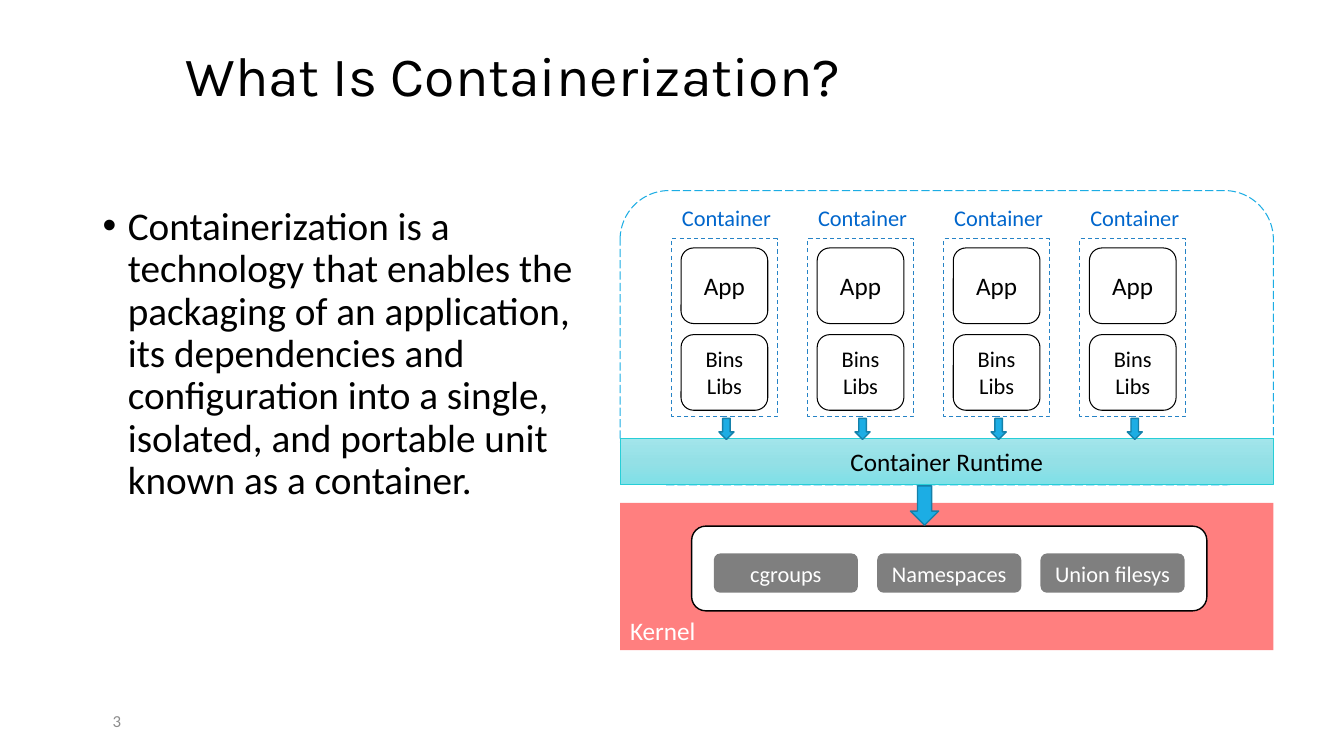
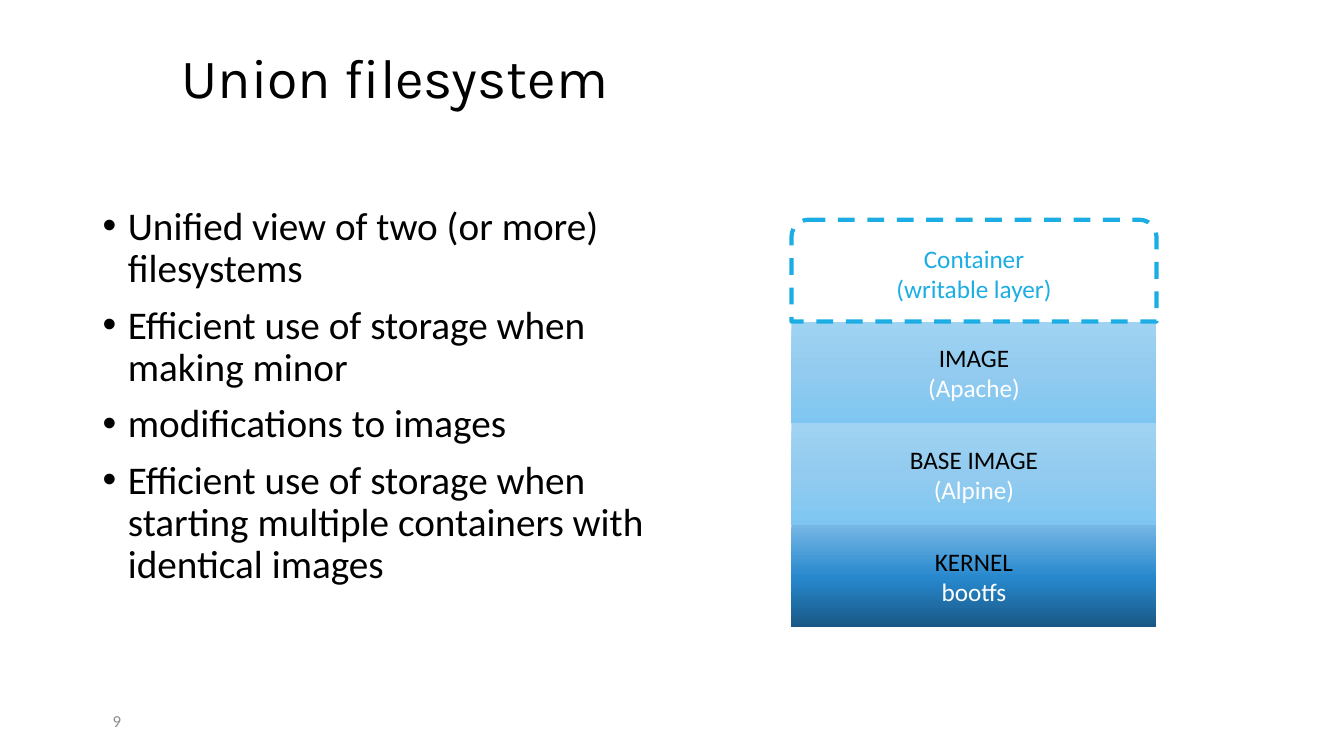
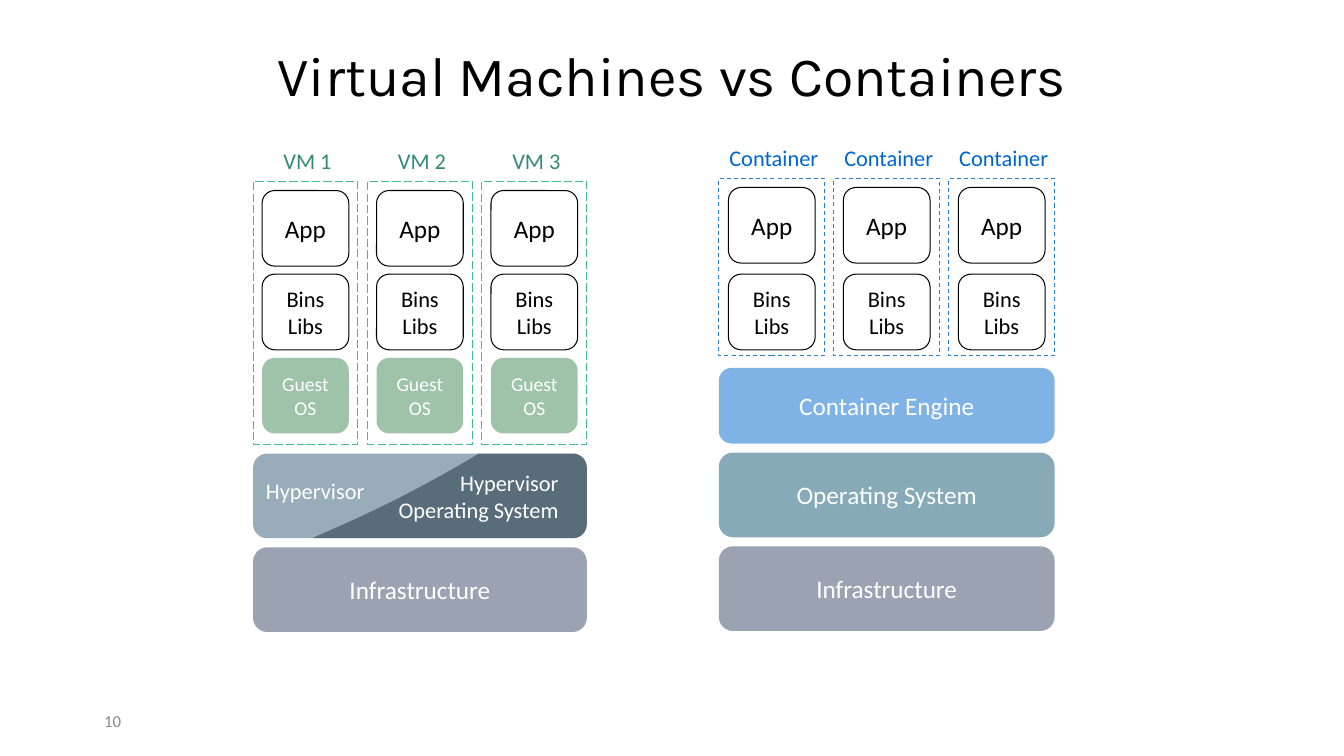
from lxml.etree import SubElement
from pptx import Presentation
from pptx.dml.color import RGBColor
from pptx.enum.dml import MSO_LINE
from pptx.enum.shapes import MSO_SHAPE
from pptx.enum.text import MSO_ANCHOR, MSO_AUTO_SIZE, PP_ALIGN
from pptx.oxml.ns import qn
from pptx.util import Inches, Pt

BLACK = RGBColor(0x00, 0x00, 0x00)
WHITE = RGBColor(0xFF, 0xFF, 0xFF)
GREY = RGBColor(0x8C, 0x8C, 0x8C)
RED = RGBColor(0xFF, 0x00, 0x00)
CYAN = RGBColor(0x1C, 0xAD, 0xE4)
CYAN_EDGE = RGBColor(0x15, 0x80, 0xA9)
TURQUOISE = RGBColor(0x27, 0xCE, 0xD7)
BLUE = RGBColor(0x00, 0x66, 0xCC)
FRAME_BLUE = RGBColor(0x26, 0x83, 0xC6)
FRAME_GREEN = RGBColor(0x42, 0xBA, 0x97)
VM_GREEN = RGBColor(0x32, 0x8B, 0x71)
GUEST_GREEN = RGBColor(0x3E, 0x88, 0x53)
SLATE = RGBColor(0x39, 0x48, 0x67)
STEEL = RGBColor(0x33, 0x5B, 0x74)
NAVY = RGBColor(0x1A, 0x2D, 0x3A)
PETROL = RGBColor(0x0E, 0x57, 0x72)

RUNTIME_FADE = ((0, "A2E5EB"), (50, "94E0E6"), (100, "7FE0E7"))
IMAGE_FADE = ((0, "A0D3F2"), (50, "92CBEF"), (100, "7EC6F1"))
KERNEL_FADE = ((0, "75B6E5"), (52, "2788CD"), (100, "195885"))

LEFT, CENTER, RIGHT = PP_ALIGN.LEFT, PP_ALIGN.CENTER, PP_ALIGN.RIGHT
TOP, MIDDLE, BOTTOM = MSO_ANCHOR.TOP, MSO_ANCHOR.MIDDLE, MSO_ANCHOR.BOTTOM
RECT, ROUND = MSO_SHAPE.RECTANGLE, MSO_SHAPE.ROUNDED_RECTANGLE
ARROW, ROUND_TOP = MSO_SHAPE.DOWN_ARROW, MSO_SHAPE.ROUND_2_SAME_RECTANGLE
DASH, LONG_DASH = MSO_LINE.DASH, MSO_LINE.LONG_DASH

CELL_W, CELL_H = 0.86, 0.75
THIN_BLACK = (BLACK, 0.75, None)
ARROW_STYLE = {"fill": CYAN, "line": (CYAN_EDGE, 1, None)}
APP = ("App", {"size": 18, "color": BLACK, "line": THIN_BLACK})
BINS = ("Bins\nLibs", {"size": 16, "color": BLACK, "line": THIN_BLACK})
GUEST = ("Guest OS", {"size": 14, "fill": GUEST_GREEN, "alpha": 50})
CONTAINER = {"w": 1.05, "h": 1.76, "line": (FRAME_BLUE, 0.75, DASH),
             "color": BLUE, "cells": (APP, BINS), "pitch": 0.86}
VM = {"w": 1.04, "h": 2.61, "line": (FRAME_GREEN, 0.75, LONG_DASH),
      "color": VM_GREEN, "cells": (APP, BINS, GUEST), "pitch": 0.83}


def put(obj, **values):
    """Set each given attribute on an object."""
    for name, value in values.items():
        setattr(obj, name, value)


def area(x, y, w, h):
    """Turn columns and rows of a one-inch grid into lengths."""
    return [Inches(v) for v in (x, y, w, h)]


def write(shape, lines, size=18, color=WHITE, align=CENTER, anchor=MIDDLE,
          font="Calibri", spacing=1.0, bullets=False, inset=0.1):
    """Write one paragraph per line; a line may be a (text, colour) pair."""
    tf = shape.text_frame
    put(tf, word_wrap=True, auto_size=MSO_AUTO_SIZE.NONE,
        vertical_anchor=anchor, margin_right=Inches(inset))
    for i, line in enumerate(lines):
        text, ink = line if isinstance(line, tuple) else (line, color)
        p = tf.add_paragraph() if i else tf.paragraphs[0]
        p.text = text.replace("\n", "\v")
        if bullets:
            pPr = p._p.get_or_add_pPr()
            pPr.set("marL", str(Inches(0.25)))
            pPr.set("indent", str(-Inches(0.25)))
            SubElement(pPr, qn("a:buFont")).set("typeface", "Arial")
            SubElement(pPr, qn("a:buChar")).set("char", "•")
        put(p, alignment=align, line_spacing=spacing,
            space_before=Pt(10 if bullets and i else 0))
        for r in p.runs:
            put(r.font, size=Pt(size), name=font)
            r.font.color.rgb = ink


def paint(shape, fill=None, alpha=100, line=None):
    """Give a shape a plain, see-through or graded fill and an outline."""
    shape.shadow.inherit = False
    if fill is None:
        shape.fill.background()
    elif isinstance(fill, RGBColor):
        shape.fill.solid()
        shape.fill.fore_color.rgb = fill
        if alpha < 100:
            clr = shape._element.spPr.find(qn("a:solidFill"))[0]
            SubElement(clr, qn("a:alpha")).set("val", str(alpha * 1000))
    else:
        shape.fill.gradient()
        shape.fill.gradient_angle = 270
        stops = shape._element.spPr.find(".//" + qn("a:gsLst"))
        for old in list(stops):
            stops.remove(old)
        for pos, rgb in fill:
            gs = SubElement(stops, qn("a:gs"), pos=str(pos * 1000))
            SubElement(gs, qn("a:srgbClr"), val=rgb)
    if line is None:
        shape.line.fill.background()
    else:
        color, width, dash = line
        shape.line.color.rgb = color
        put(shape.line, width=Pt(width), dash_style=dash)


def block(s, kind, at, lines=(), fill=None, alpha=100, line=None, **text):
    """Add a preset shape with optional text."""
    sp = s.shapes.add_shape(kind, *area(*at))
    paint(sp, fill, alpha, line)
    if lines:
        write(sp, lines, **text)


def label(s, at, lines, **text):
    """Add a text box."""
    write(s.shapes.add_textbox(*area(*at)), lines, **text)


def bezier(start, c1, c2, end, steps=16):
    """Return points along a cubic curve, without its start."""
    points = []
    for i in range(1, steps + 1):
        t = i / steps
        weights = ((1 - t) ** 3, 3 * t * (1 - t) ** 2, 3 * t * t * (1 - t), t ** 3)
        points.append(tuple(sum(k * pt[axis] for k, pt in zip(weights, (start, c1, c2, end)))
                            for axis in (0, 1)))
    return points


def new_slide(prs, title, number, at, align=LEFT):
    """Add a slide with its title and page number."""
    s = prs.slides.add_slide(prs.slide_layouts[5])
    sp = s.shapes.title
    put(sp, **dict(zip(("left", "top", "width", "height"), area(*at))))
    write(sp, [title], size=39.6, color=BLACK, align=align, font="Karla", spacing=0.9)
    label(s, (0.83, 6.95, 0.47, 0.4), [number], size=12, color=GREY, align=RIGHT)
    return s


def bullet_list(s, width, lines):
    """Add the bulleted text on the left of a slide."""
    label(s, (0.92, 2, width, 4.76), lines, size=28, color=BLACK, align=LEFT,
          anchor=TOP, spacing=0.9, bullets=True)


def stack(s, x, y, name, w, h, line, color, cells, pitch):
    """Add a dashed frame with a label above and cells inside."""
    for row, (text, style) in enumerate(cells):
        at = (x + (w - CELL_W) / 2, y + 0.09 + row * pitch, CELL_W, CELL_H)
        block(s, ROUND, at, [text], **style)
    block(s, RECT, (x, y, w, h), line=line)
    label(s, (x + w / 2 - 0.6, y - 0.39, 1.24, 0.38), [name], size=16, color=color, anchor=TOP)


def stacks(s, x, y, span, names, style):
    """Spread stacks evenly over a span and return their left edges."""
    step = (span - style["w"]) / (len(names) - 1)
    lefts = [x + i * step for i in range(len(names))]
    for left, name in zip(lefts, names):
        stack(s, left, y, name, **style)
    return lefts


def hypervisor(s, x, y, w, h):
    """Add the hypervisor bar with its curved darker part."""
    block(s, ROUND, (x, y, w, h), fill=STEEL, alpha=50)
    label(s, (x + 0.03, 4.68, 1.46, 0.42), ["Hypervisor"], size=16, align=LEFT, anchor=TOP)
    right, bottom, rad = x + w, y + h, 0.14
    foot, peak = (3.1, bottom), (4.75, y)
    outline = [(right - rad, y)]
    outline += bezier(outline[-1], (right - 0.06, y), (right, y + 0.06), (right, y + rad))
    outline.append((right, bottom - rad))
    outline += bezier(outline[-1], (right, bottom - 0.06), (right - 0.06, bottom),
                      (right - rad, bottom))
    outline.append(foot)
    outline += bezier(foot, (3.18, 5.29), (3.82, 5.06), peak)
    fb = s.shapes.build_freeform(*(Inches(v) for v in peak))
    fb.add_line_segments([(Inches(px), Inches(py)) for px, py in outline])
    sp = fb.convert_to_shape()
    paint(sp, NAVY, 50)
    write(sp, ["Hypervisor", "Operating System"], size=16, align=RIGHT, inset=0.28)


def containerization(prs):
    """Build the slide on what containerization is."""
    s = new_slide(prs, "What Is Containerization?", "3", (1.74, 0.4, 10.67, 0.75))
    x, w = 6.15, 6.48
    block(s, ROUND, (x, 1.89, w, 2.92), line=(CYAN, 0.75, LONG_DASH))
    bullet_list(s, 5.24, [
        "Containerization is a technology that enables the packaging of an application, "
        "its dependencies and configuration into a single, isolated, and portable unit "
        "known as a container."])
    block(s, RECT, (x, 4.99, w, 1.46), ["Kernel"], fill=RED, alpha=50,
          align=LEFT, anchor=BOTTOM)
    block(s, ROUND, (6.86, 5.22, 5.11, 0.84), fill=WHITE, line=(BLACK, 1, None))
    for i, name in enumerate(("cgroups", "Namespaces", "Union filesys")):
        block(s, ROUND, (7.08 + i * 1.62, 5.49, 1.43, 0.39), [name],
              fill=BLACK, alpha=50, size=16)
    block(s, RECT, (x, 4.35, w, 0.46), ["Container Runtime"], fill=RUNTIME_FADE,
          line=(TURQUOISE, 0.5, None), color=BLACK)
    lefts = stacks(s, 6.66, 2.37, 5.1, ["Container"] * 4, CONTAINER)
    block(s, ARROW, (9.03, 4.82, 0.28, 0.39), **ARROW_STYLE)
    for left in lefts:
        block(s, ARROW, (left + 0.47, 4.15, 0.15, 0.21), **ARROW_STYLE)


def union_filesystem(prs):
    """Build the slide on the union filesystem."""
    s = new_slide(prs, "Union filesystem", "9", (1.7, 0.42, 10.67, 0.75))
    bullet_list(s, 5.75, [
        "Unified view of two (or more) filesystems",
        "Efficient use of storage when making minor",
        "modifications to images",
        "Efficient use of storage when starting multiple containers with identical images"])
    layers = (
        (RECT, "KERNEL", "bootfs", BLACK, WHITE, {"fill": KERNEL_FADE}),
        (RECT, "BASE IMAGE", "(Alpine)", BLACK, WHITE, {"fill": IMAGE_FADE}),
        (RECT, "IMAGE", "(Apache)", BLACK, WHITE, {"fill": IMAGE_FADE}),
        (ROUND_TOP, "Container", "(writable layer)", CYAN, CYAN, {"line": (CYAN, 3, DASH)}))
    h = 1.01
    for i, (kind, name, detail, ink, detail_ink, style) in enumerate(layers):
        block(s, kind, (7.85, 5.21 - i * h, 3.62, h),
              [(name, ink), (detail, detail_ink)], **style)


def vms_and_containers(prs):
    """Build the slide that compares virtual machines and containers."""
    s = new_slide(prs, "Virtual Machines vs Containers", "10", (0, 0.4, 13.33, 0.75), CENTER)
    vm_x, vm_w, box_x, box_w, bar_h = 2.51, 3.31, 7.13, 3.33, 0.84
    block(s, ROUND, (vm_x, 5.43, vm_w, bar_h), ["Infrastructure"], fill=SLATE, alpha=50)
    hypervisor(s, vm_x, 4.5, vm_w, bar_h)
    stacks(s, vm_x, 1.8, vm_w, ["VM 1", "VM 2", "VM 3"], VM)
    bars = (("Infrastructure", 5.42, bar_h, SLATE),
            ("Operating System", 4.49, bar_h, PETROL),
            ("Container Engine", 3.65, CELL_H, BLUE))
    for name, y, h, fill in bars:
        block(s, ROUND, (box_x, y, box_w, h), [name], fill=fill, alpha=50)
    stacks(s, box_x, 1.77, box_w, ["Container"] * 3, CONTAINER)


def main():
    """Build and save the presentation."""
    prs = Presentation()
    put(prs, slide_width=Inches(13.33), slide_height=Inches(7.5))
    containerization(prs)
    union_filesystem(prs)
    vms_and_containers(prs)
    prs.save("out.pptx")


if __name__ == "__main__":
    main()
